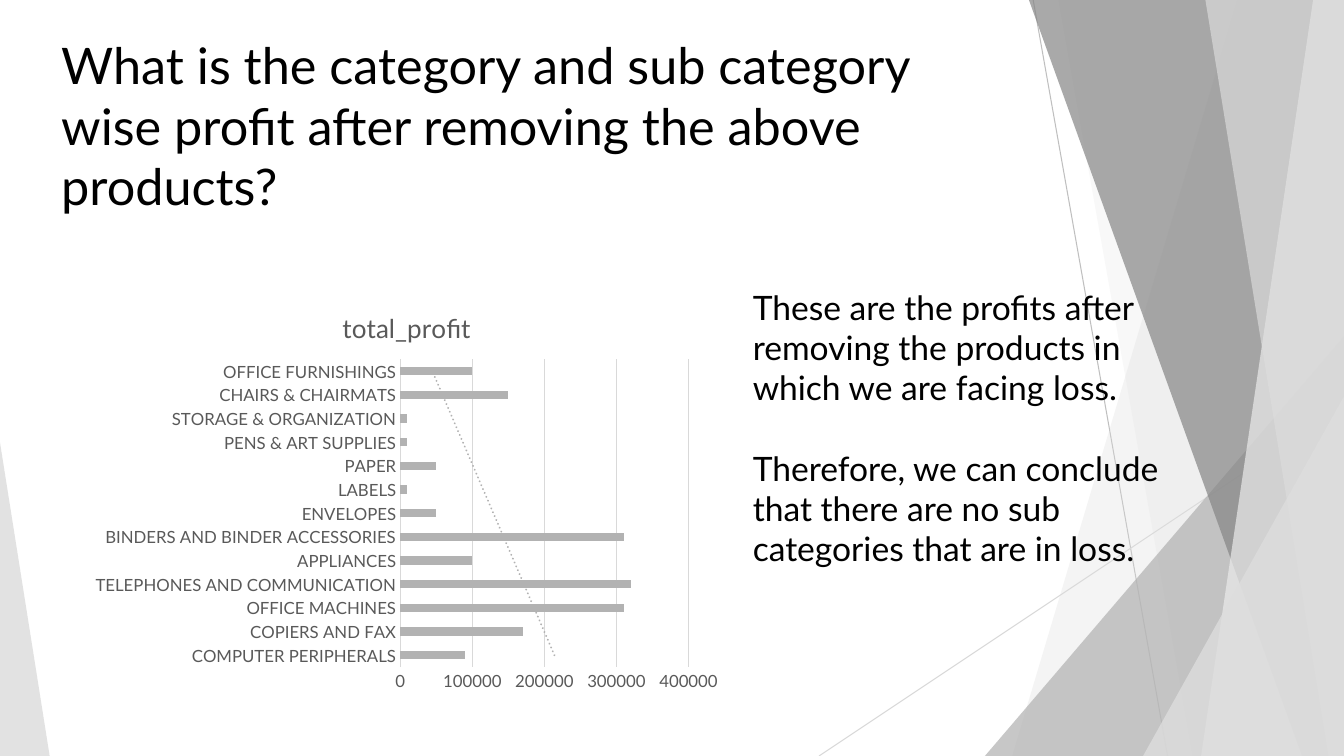
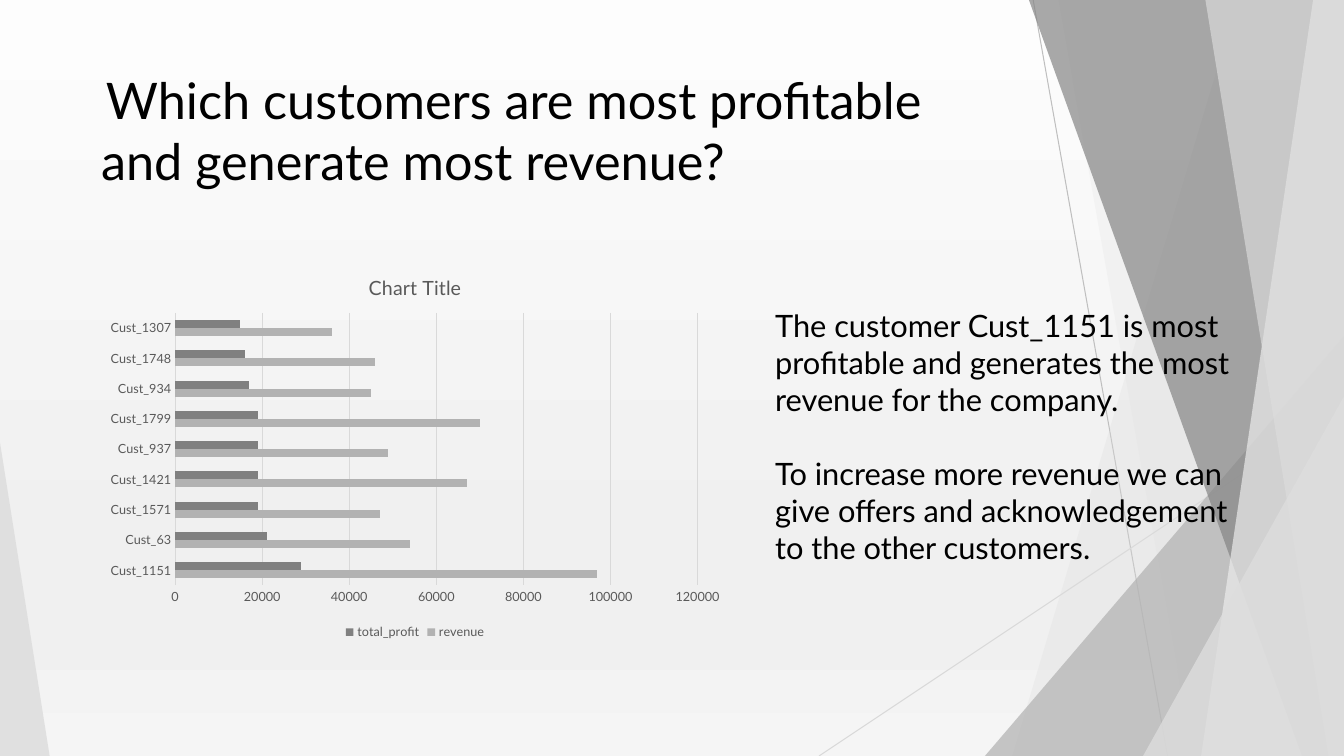
from lxml import etree
from pptx import Presentation
from pptx.chart.data import CategoryChartData
from pptx.dml.color import RGBColor
from pptx.enum.chart import XL_CHART_TYPE, XL_LEGEND_POSITION, XL_TICK_MARK
from pptx.enum.shapes import MSO_CONNECTOR, MSO_SHAPE
from pptx.enum.text import MSO_ANCHOR, MSO_AUTO_SIZE, PP_ALIGN
from pptx.oxml import parse_xml
from pptx.oxml.ns import nsdecls, qn
from pptx.util import Pt

BAR = XL_CHART_TYPE.BAR_CLUSTERED
LEGEND_BOTTOM = XL_LEGEND_POSITION.BOTTOM
NO_TICK = XL_TICK_MARK.NONE
STRAIGHT = MSO_CONNECTOR.STRAIGHT
TRIANGLE = MSO_SHAPE.ISOSCELES_TRIANGLE
TOP = MSO_ANCHOR.TOP
NO_FIT = MSO_AUTO_SIZE.NONE
LEFT = PP_ALIGN.LEFT

FONT = "Lato"
BLACK = RGBColor(0x00, 0x00, 0x00)
TEXT_GREY = RGBColor(0x59, 0x59, 0x59)
DARK = RGBColor(0x80, 0x80, 0x80)
SLATE = RGBColor(0x85, 0x85, 0x85)
MID = RGBColor(0xB2, 0xB2, 0xB2)
SILVER = RGBColor(0xBF, 0xBF, 0xBF)
RULE = RGBColor(0xD9, 0xD9, 0xD9)
LIGHT = RGBColor(0xDD, 0xDD, 0xDD)
PALE = RGBColor(0xEB, 0xEB, 0xEB)
BACK_STOPS = [
    (0, RGBColor(0xFD, 0xFD, 0xFD)),
    (74, RGBColor(0xF0, 0xF0, 0xF0)),
    (83, RGBColor(0xF0, 0xF0, 0xF0)),
    (100, RGBColor(0xF5, 0xF5, 0xF5)),
]

WIDTH, HEIGHT = 960, 540
TITLE_SIZE = 36
LINE_HEIGHT = 1.2

FACET_LINES = [((738, 0), (834, HEIGHT), SILVER), ((WIDTH, 290), (585, HEIGHT), RULE)]
FACETS = [
    ("band", (884, 723), LIGHT, 30),
    ("band", (756, 852), LIGHT, 20),
    ("triangle", (703.5, WIDTH, 240, 1), MID, 72),
    ("band", (735, 929.5), SLATE, 70),
    ("band", (938, 858), PALE, 70),
    ("band", (861, 949), LIGHT, 65),
    ("triangle", (816.5, WIDTH, 283, 1), LIGHT, 80),
    ("triangle", (0, 35.5, 316, 0), LIGHT, 85),
]

SLIDES = [
    {
        "title": "What is the category and sub category wise profit after removing the above products?",
        "title_box": (36.5, 21, 660, 138),
        "title_indent": 0,
        "body": [
            "These are the profits after removing the products in which we are facing loss.",
            "Therefore, we can conclude that there are no sub categories that are in loss.",
        ],
        "body_box": (530.5, 201, 344, 211),
        "body_size": 24,
        "gradient": False,
        "chart": {
            "box": (59, 207.5, 463, 292),
            "title": "total_profit",
            "title_size": 18.6,
            "size": 12,
            "legend": False,
            "trend": True,
            "series": [("total_profit", MID)],
            "rows": [
                ("COMPUTER PERIPHERALS", 90000),
                ("COPIERS AND FAX", 170000),
                ("OFFICE MACHINES", 310000),
                ("TELEPHONES AND COMMUNICATION", 320000),
                ("APPLIANCES", 100000),
                ("BINDERS AND BINDER ACCESSORIES", 310000),
                ("ENVELOPES", 50000),
                ("LABELS", 10000),
                ("PAPER", 50000),
                ("PENS & ART SUPPLIES", 10000),
                ("STORAGE & ORGANIZATION", 10000),
                ("CHAIRS & CHAIRMATS", 150000),
                ("OFFICE FURNISHINGS", 100000),
            ],
        },
    },
    {
        "title": "Which customers are most profitable and generate most revenue?",
        "title_box": (65, 46, 646.5, 94.5),
        "title_indent": 3.5,
        "body": [
            "The customer Cust_1151 is most profitable and generates the most revenue for the company.",
            "To increase more revenue we can give offers and acknowledgement to the other customers.",
        ],
        "body_box": (546.5, 215.5, 343.5, 220),
        "body_size": 22,
        "gradient": True,
        "chart": {
            "box": (70, 183, 453, 277),
            "title": "Chart Title",
            "title_size": 14,
            "size": 9,
            "legend": True,
            "trend": False,
            "series": [("revenue", MID), ("total_profit", DARK)],
            "rows": [
                ("Cust_1151", 97000, 29000),
                ("Cust_63", 54000, 21000),
                ("Cust_1571", 47000, 19000),
                ("Cust_1421", 67000, 19000),
                ("Cust_937", 49000, 19000),
                ("Cust_1799", 70000, 19000),
                ("Cust_934", 45000, 17000),
                ("Cust_1748", 46000, 16000),
                ("Cust_1307", 36000, 15000),
            ],
        },
    },
]


def set_font(font, size, color):
    for name, value in {"name": FONT, "size": Pt(size), "bold": False}.items():
        setattr(font, name, value)
    font.color.rgb = color


def set_line(line, color, width=0.75):
    line.color.rgb = color
    line.width = Pt(width)


def add_facet_line(s, start, end, color):
    line = s.shapes.add_connector(STRAIGHT, *[Pt(v) for v in start + end])
    set_line(line.line, color)
    etree.SubElement(line.element.spPr, qn("a:effectLst"))
    return line


def add_facet(s, kind, place, color, opacity):
    if kind == "band":
        top_x, bottom_x = place
        outline = s.shapes.build_freeform(top_x, 0, scale=Pt(1))
        outline.add_line_segments([(WIDTH, 0), (WIDTH, HEIGHT), (bottom_x, HEIGHT)])
        shape = outline.convert_to_shape()
    else:
        left, right, top, apex = place
        shape = s.shapes.add_shape(
            TRIANGLE, Pt(left), Pt(top), Pt(right - left), Pt(HEIGHT - top))
        shape.adjustments[0] = apex
    shape.shadow.inherit = False
    shape.line.fill.background()
    shape.fill.solid()
    shape.fill.fore_color.rgb = color
    rgb = shape.element.spPr.find(qn("a:solidFill")).find(qn("a:srgbClr"))
    etree.SubElement(rgb, qn("a:alpha")).set("val", str(opacity * 1000))
    return shape


def move_facets_to_layout(s, layout):
    facets = [add_facet_line(s, *line) for line in FACET_LINES]
    facets += [add_facet(s, *facet) for facet in FACETS]
    for i, facet in enumerate(facets):
        facet.element.xpath(".//p:cNvPr")[0].set("id", str(100 + i))
        layout.shapes.element.insert(2 + i, facet.element)


def set_gradient(s):
    fill = s.background.fill
    fill.gradient()
    fill.gradient_angle = 270
    stops = s.element.find(".//" + qn("a:gsLst"))
    for stop in list(stops):
        stops.remove(stop)
    for position, color in BACK_STOPS:
        stop = etree.SubElement(stops, qn("a:gs"), pos=str(position * 1000))
        etree.SubElement(stop, qn("a:srgbClr"), val=str(color))


def fill_placeholder(sp, box, texts, size, indent=0):
    sp.left, sp.top, sp.width, sp.height = [Pt(v) for v in box]
    tf = sp.text_frame
    for name, value in {"word_wrap": True, "auto_size": NO_FIT, "vertical_anchor": TOP}.items():
        setattr(tf, name, value)
    for i, text in enumerate(texts):
        p = tf.paragraphs[0] if i == 0 else tf.add_paragraph()
        p.alignment = LEFT
        p.space_before = Pt(size * LINE_HEIGHT if i else 0)
        r = p.add_run()
        r.text = text
        set_font(r.font, size, BLACK)
        props = p._p.get_or_add_pPr()
        props.set("marL", "0")
        props.set("indent", str(Pt(indent)))
        etree.SubElement(props, qn("a:buNone"))


def add_trend(series):
    trend = parse_xml(
        f'<c:trendline {nsdecls("c", "a")}><c:spPr><a:ln w="{Pt(1.5)}" cap="rnd">'
        f'<a:solidFill><a:srgbClr val="{MID}"/></a:solidFill><a:prstDash val="sysDot"/>'
        '</a:ln></c:spPr><c:trendlineType val="linear"/>'
        '<c:dispRSqr val="0"/><c:dispEq val="0"/></c:trendline>')
    series._element.find(qn("c:cat")).addprevious(trend)


def add_bar_chart(s, spec_data):
    data = CategoryChartData()
    names, *columns = zip(*spec_data["rows"])
    data.categories = names
    for (name, _), values in zip(spec_data["series"], columns):
        data.add_series(name, values)
    chart = s.shapes.add_chart(BAR, *[Pt(v) for v in spec_data["box"]], data).chart
    set_font(chart.font, 10, BLACK)

    chart.has_title = True
    r = chart.chart_title.text_frame.paragraphs[0].add_run()
    r.text = spec_data["title"]
    set_font(r.font, spec_data["title_size"], TEXT_GREY)
    chart.chart_title.include_in_layout = False

    chart.has_legend = spec_data["legend"]
    if chart.has_legend:
        chart.legend.position = LEGEND_BOTTOM
        chart.legend.include_in_layout = False
        set_font(chart.legend.font, spec_data["size"], TEXT_GREY)

    for axis in (chart.category_axis, chart.value_axis):
        axis.major_tick_mark = axis.minor_tick_mark = NO_TICK
        set_font(axis.tick_labels.font, spec_data["size"], TEXT_GREY)
    set_line(chart.category_axis.format.line, RULE)
    chart.value_axis.format.line.fill.background()
    chart.value_axis.has_major_gridlines = True
    set_line(chart.value_axis.major_gridlines.format.line, RULE)

    plot = chart.plots[0]
    plot.gap_width = 182
    plot.vary_by_categories = False
    for series, (_, color) in zip(plot.series, spec_data["series"]):
        series.format.fill.solid()
        series.format.fill.fore_color.rgb = color
        if spec_data["trend"]:
            add_trend(series)


def main():
    prs = Presentation()
    prs.slide_width, prs.slide_height = Pt(WIDTH), Pt(HEIGHT)
    layout = prs.slide_layouts[1]
    for i, content in enumerate(SLIDES):
        s = prs.slides.add_slide(layout)
        if i == 0:
            move_facets_to_layout(s, layout)
        if content["gradient"]:
            set_gradient(s)
        fill_placeholder(s.shapes.title, content["title_box"], [content["title"]],
                         TITLE_SIZE, content["title_indent"])
        fill_placeholder(s.placeholders[1], content["body_box"], content["body"],
                         content["body_size"])
        add_bar_chart(s, content["chart"])
    prs.save("out.pptx")


if __name__ == "__main__":
    main()
